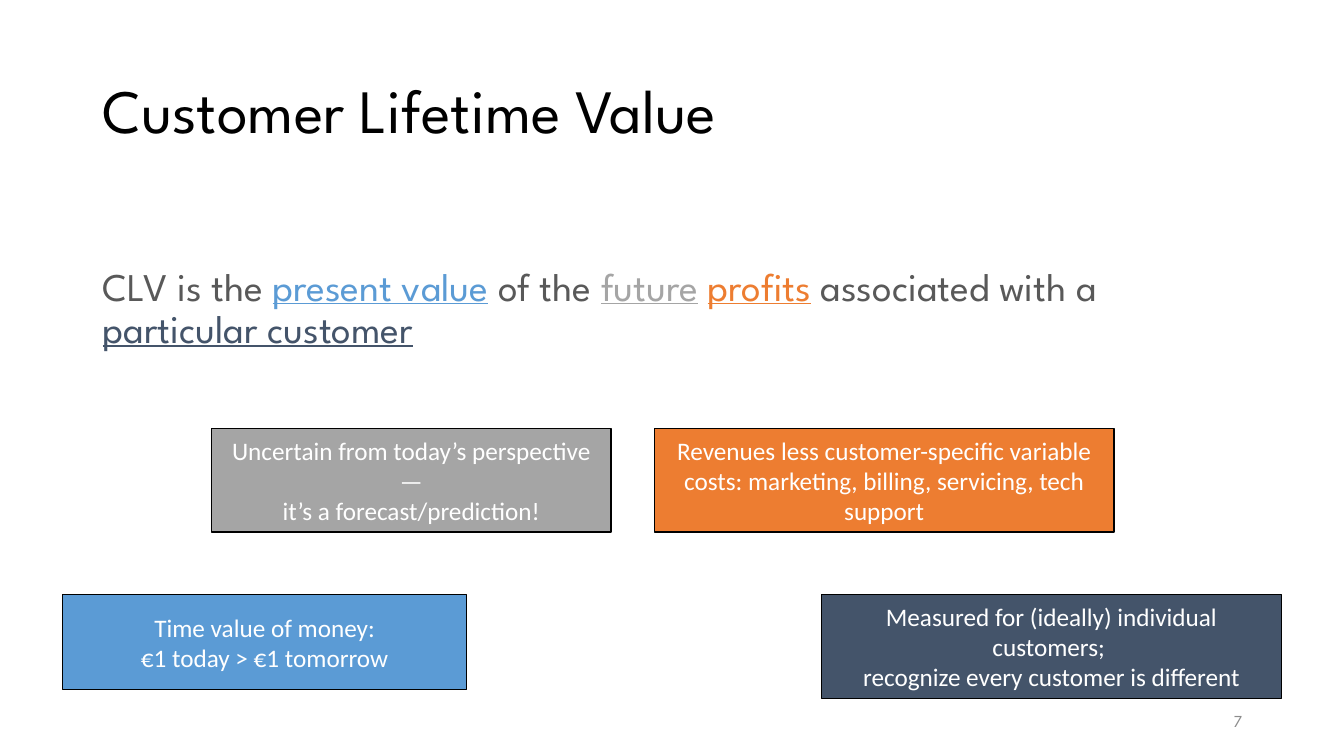
from lxml import etree
from pptx import Presentation
from pptx.dml.color import RGBColor
from pptx.enum.shapes import MSO_SHAPE
from pptx.enum.text import MSO_ANCHOR, PP_ALIGN
from pptx.oxml.ns import qn
from pptx.util import Inches, Pt

RECT = MSO_SHAPE.RECTANGLE
MIDDLE, TOP = MSO_ANCHOR.MIDDLE, MSO_ANCHOR.TOP
LEFT, CENTER, RIGHT = PP_ALIGN.LEFT, PP_ALIGN.CENTER, PP_ALIGN.RIGHT

COLORS = {
    "black": "000000", "white": "FFFFFF", "text": "595959", "number": "8C8C8C",
    "value": "5B9BD5", "future": "A5A5A5", "profits": "ED7D31", "customer": "44546A",
}
HEAD_FONT, BOX_FONT = "League Spartan", "Calibri"

TITLE = "Customer Lifetime Value"
PAGE = "7"
# Coloured terms are underlined and share their colour with a box below.
DEFINITION = [
    ("CLV is the ", "text"), ("present value", "value"), (" of the ", "text"),
    ("future", "future"), (" ", "text"), ("profits", "profits"),
    (" associated with a ", "text"), ("particular customer", "customer"),
]
UPPER, LOWER = 4.25, 5.9
BOXES = [  # colour, left, top, width, height, lines
    ("value", 0.62, LOWER, 4.01, 0.94,
     ["Time value of money:", "€1 today > €1 tomorrow"]),
    ("future", 2.1, UPPER, 3.96, 1.03,
     ["Uncertain from today’s perspective—", "it’s a forecast/prediction!"]),
    ("profits", 6.49, UPPER, 4.56, 1.03,
     ["Revenues less customer-specific variable costs: "
      "marketing, billing, servicing, tech support"]),
    ("customer", 8.15, LOWER, 4.56, 1.03,
     ["Measured for (ideally) individual customers; ",
      "recognize every customer is different"]),
]
MARGIN, CONTENT_W = 0.92, 11.5


def rgb(name):
    return RGBColor.from_string(COLORS[name])


def place(sp, left, top, width, height):
    sp.left, sp.top = Inches(left), Inches(top)
    sp.width, sp.height = Inches(width), Inches(height)


def style(run, font, size, color):
    run.font.name, run.font.size = font, Pt(size)
    run.font.color.rgb = rgb(color)


def style_text(sp, font, size, color, align, anchor=MIDDLE):
    tf = sp.text_frame
    tf.word_wrap, tf.vertical_anchor = True, anchor
    for p in tf.paragraphs:
        p.alignment = align
        for r in p.runs:
            style(r, font, size, color)


def add_box(slide, color, left, top, width, height, lines):
    sp = slide.shapes.add_shape(
        RECT, Inches(left), Inches(top), Inches(width), Inches(height))
    sp.shadow.inherit = False
    sp.fill.solid()
    sp.fill.fore_color.rgb = rgb(color)
    sp.line.color.rgb = rgb("black")
    sp.line.width = Pt(1)
    sp.text_frame.text = "\n".join(lines)
    style_text(sp, BOX_FONT, 18, "white", CENTER)


def fill_definition(body):
    p = body.text_frame.paragraphs[0]
    p.line_spacing, p.space_before = 0.9, Pt(0)
    for text, color in DEFINITION:
        r = p.add_run()
        r.text = text
        style(r, HEAD_FONT, 28, color)
        r.font.underline = color != "text"
    body.text_frame.vertical_anchor = TOP
    pPr = p._p.get_or_add_pPr()
    pPr.set("marL", "0")
    pPr.set("indent", "0")
    etree.SubElement(pPr, qn("a:buNone"))


def main():
    prs = Presentation()
    prs.slide_width, prs.slide_height = Inches(13.33), Inches(7.5)
    slide = prs.slides.add_slide(prs.slide_layouts[1])

    title, body = slide.placeholders
    place(title, MARGIN, 0.4, CONTENT_W, 1.45)
    title.text_frame.text = TITLE
    title.text_frame.paragraphs[0].line_spacing = 0.9
    style_text(title, HEAD_FONT, 44, "black", LEFT)

    place(body, MARGIN, 2.6, CONTENT_W, 1.4)
    fill_definition(body)

    number = slide.shapes.add_textbox(0, 0, 0, 0)
    place(number, 9.42, 6.95, 3, 0.4)
    number.text_frame.text = PAGE
    style_text(number, HEAD_FONT, 12, "number", RIGHT)

    for box in BOXES:
        add_box(slide, *box)
    prs.save("out.pptx")


if __name__ == "__main__":
    main()
